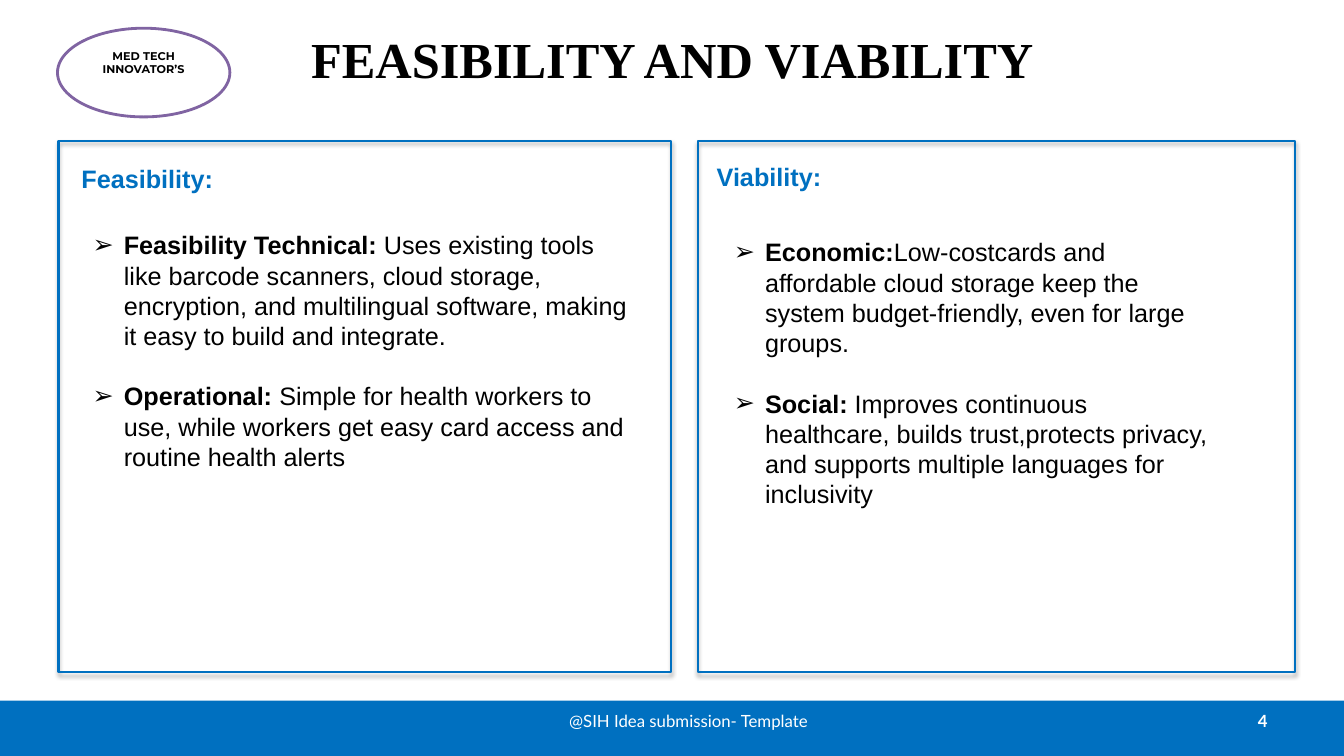
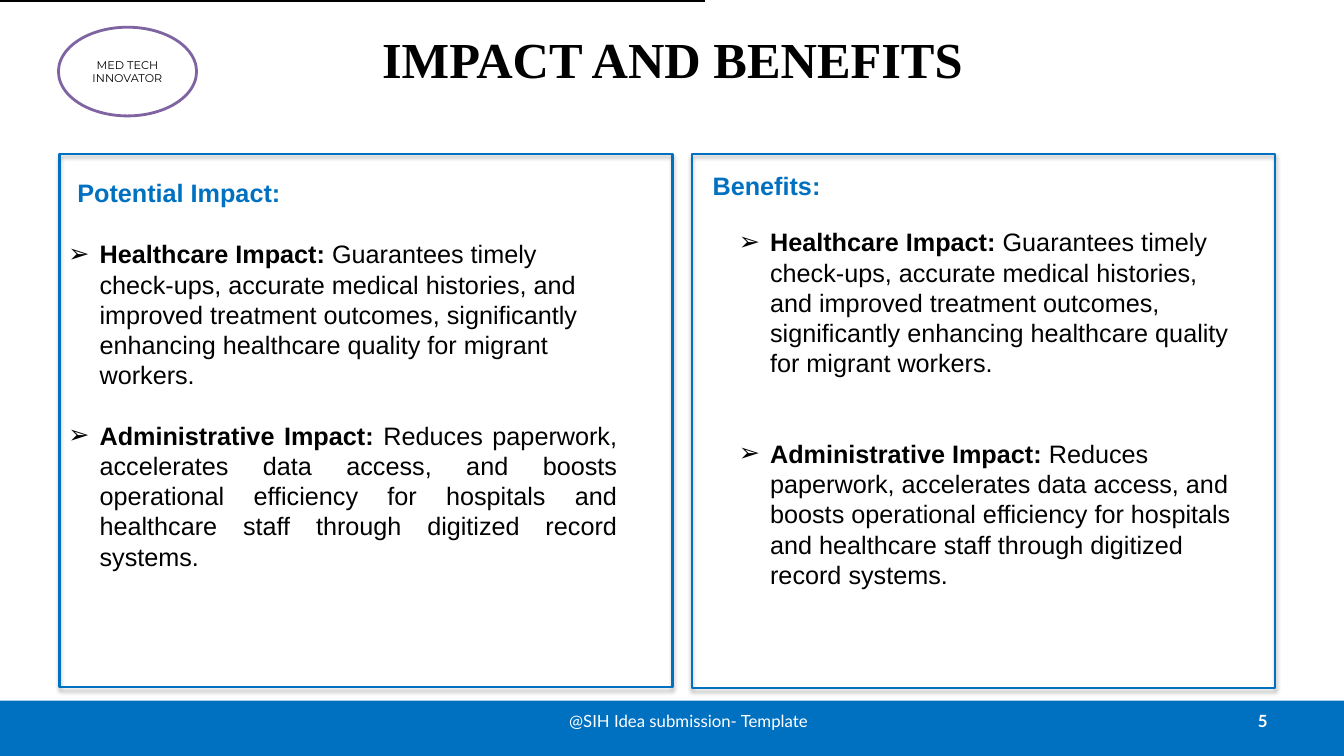
from lxml.etree import SubElement
from pptx import Presentation
from pptx.dml.color import RGBColor
from pptx.enum.shapes import MSO_SHAPE
from pptx.enum.text import MSO_ANCHOR, PP_ALIGN
from pptx.oxml.ns import qn
from pptx.util import Inches, Pt

BLUE, PURPLE, BLACK, WHITE = "0070C0", "8064A2", "000000", "FFFFFF"
BODY_SIZE = 18
FOOTER_TOP = 6.95


def rgb(value):
    """Turn a hex string into a colour."""
    return RGBColor.from_string(value)


def inches(box):
    """Turn left, top, width and height into lengths."""
    return [Inches(length) for length in box]


class Deck:
    """Holds the shared style and the current slide."""

    def __init__(self):
        """Start a widescreen presentation."""
        self.presentation = Presentation()
        self.presentation.slide_width = Inches(13.33)
        self.presentation.slide_height = Inches(7.5)
        self.slide = None

    def start(self, heading, number):
        """Add a slide with its title, footer band and number."""
        self.slide = self.presentation.slides.add_slide(self.presentation.slide_layouts[5])
        title = self.slide.shapes.title
        title.left, title.top, title.width, title.height = inches((0.67, -0.05, 12, 1.25))
        title.text_frame.text = heading
        title.text_frame.vertical_anchor = MSO_ANCHOR.MIDDLE
        self.style(title.text_frame.paragraphs[0], 36, BLACK, "Times New Roman", True, PP_ALIGN.CENTER)
        self.block((0, FOOTER_TOP, 13.33, 0.55), fill=BLUE)
        self.label((9.56, FOOTER_TOP, 3.11, 0.4), str(number), 12, WHITE, "Lato", True, PP_ALIGN.RIGHT)
        self.label((5.08, FOOTER_TOP, 3.5, 0.4), "@SIH Idea submission- Template", 12, WHITE, "Lato",
                   False, PP_ALIGN.CENTER)

    def style(self, paragraph, size, color, font, bold, align=PP_ALIGN.LEFT):
        """Format every run of a paragraph."""
        paragraph.alignment = align
        for run in paragraph.runs:
            run.font.size = Pt(size)
            run.font.name = font
            run.font.bold = bold
            run.font.color.rgb = rgb(color)

    def block(self, box, fill=None, line=None, weight=1, kind=MSO_SHAPE.RECTANGLE):
        """Add a preset shape without a shadow."""
        shape = self.slide.shapes.add_shape(kind, *inches(box))
        shape.shadow.inherit = False
        if fill:
            shape.fill.solid()
            shape.fill.fore_color.rgb = rgb(fill)
        else:
            shape.fill.background()
        if line:
            shape.line.color.rgb = rgb(line)
            shape.line.width = Pt(weight)
        else:
            shape.line.fill.background()
        return shape

    def label(self, box, text, size, color, font, bold, align=PP_ALIGN.LEFT):
        """Add a single line of text, centred vertically."""
        frame = self.slide.shapes.add_textbox(*inches(box)).text_frame
        frame.word_wrap = True
        frame.vertical_anchor = MSO_ANCHOR.MIDDLE
        frame.text = text
        self.style(frame.paragraphs[0], size, color, font, bold, align)
        return frame

    def panel(self, box):
        """Add an outlined panel with a soft shadow."""
        panel = self.block(box, line=BLUE, weight=1.5)
        effects = panel._element.spPr.find(qn("a:effectLst"))
        shadow = SubElement(effects, qn("a:outerShdw"), blurRad="40000", dist="23000",
                            dir="5400000", rotWithShape="0")
        tone = SubElement(shadow, qn("a:srgbClr"), val=BLACK)
        SubElement(tone, qn("a:alpha"), val="35000")

    def heading(self, left, top, text):
        """Add the heading of a panel."""
        frame = self.label((left, top, 4.5, 0.56), text, BODY_SIZE, BLUE, "Arial", True)
        frame.vertical_anchor = MSO_ANCHOR.TOP
        frame.paragraphs[0].line_spacing = 1.5

    def points(self, box, points, gap, last_align=PP_ALIGN.LEFT):
        """Add arrow bullets, each with a bold lead-in."""
        frame = self.slide.shapes.add_textbox(*inches(box)).text_frame
        frame.word_wrap = True
        for index, (lead, detail) in enumerate(points):
            paragraph = frame.add_paragraph() if index else frame.paragraphs[0]
            if index:
                paragraph.space_before = Pt(gap)
            properties = paragraph._p.get_or_add_pPr()
            properties.set("marL", str(Inches(0.31)))
            properties.set("indent", str(-Inches(0.31)))
            SubElement(properties, qn("a:buFont"), typeface="Arial")
            SubElement(properties, qn("a:buChar"), char="➢")
            for text in (lead, detail):
                paragraph.add_run().text = text
            align = last_align if index == len(points) - 1 else PP_ALIGN.LEFT
            self.style(paragraph, BODY_SIZE, BLACK, "Arial", False, align)
            paragraph.runs[0].font.bold = True

    def badge(self, box, lines, bold, bottom=0.05):
        """Add the oval with the team name."""
        oval = self.block(box, WHITE, PURPLE, 2, MSO_SHAPE.OVAL)
        frame = oval.text_frame
        frame.word_wrap = True
        frame.vertical_anchor = MSO_ANCHOR.MIDDLE
        frame.margin_bottom = Inches(bottom)
        frame.text = "\n".join(lines)
        for paragraph in frame.paragraphs:
            self.style(paragraph, 8, BLACK, "Montserrat", bold, PP_ALIGN.CENTER)


FEASIBILITY = [
    ("Feasibility Technical:", " Uses existing tools like barcode scanners, cloud storage, encryption, "
     "and multilingual software, making it easy to build and integrate."),
    ("Operational: ", "Simple for health workers to use, while workers get easy card access "
     "and routine health alerts"),
]
VIABILITY = [
    ("Economic:", "Low-costcards and affordable cloud storage keep the system budget-friendly, "
     "even for large groups."),
    ("Social: ", "Improves continuous healthcare, builds trust,protects privacy, "
     "and supports multiple languages for inclusivity"),
]
IMPACT = [
    ("Healthcare Impact: ", "Guarantees timely check-ups, accurate medical histories, and improved "
     "treatment outcomes, significantly enhancing healthcare quality for migrant workers."),
    ("Administrative Impact: ", "Reduces paperwork, accelerates data access, and boosts operational "
     "efficiency for hospitals and healthcare staff through digitized record systems."),
]


def main():
    """Build both slides and save them."""
    deck = Deck()

    deck.start("FEASIBILITY AND VIABILITY", 4)
    deck.panel((0.58, 1.4, 6.08, 5.27))
    deck.panel((6.92, 1.4, 5.92, 5.27))
    deck.heading(0.71, 1.42, "Feasibility:")
    deck.heading(7.01, 1.4, "Viability:")
    deck.badge((0.57, 0.28, 1.71, 0.88), ("MED TECH", "INNOVATOR’S"), True, 0.25)
    deck.points((0.82, 2.23, 5.51, 2.5), FEASIBILITY, 21.5)
    deck.points((7.18, 2.3, 4.98, 2.8), VIABILITY, 21.5)

    deck.start("IMPACT AND BENEFITS", 5)
    deck.panel((0.59, 1.53, 6.08, 5.29))
    deck.panel((6.86, 1.53, 5.79, 5.3))
    deck.block((0, 0, 6.99, 0.02), BLACK, BLACK, 0.75)
    deck.heading(0.67, 1.56, "Potential Impact:")
    deck.heading(6.97, 1.49, "Benefits:")
    deck.points((0.58, 2.32, 5.64, 3.4), IMPACT, 21.5, PP_ALIGN.JUSTIFY)
    deck.badge((0.58, 0.27, 1.37, 0.88), ("MED TECH", "INNOVATOR"), False)
    deck.points((7.23, 2.2, 5.11, 3.7), IMPACT, 43)

    deck.presentation.save("out.pptx")


if __name__ == "__main__":
    main()
